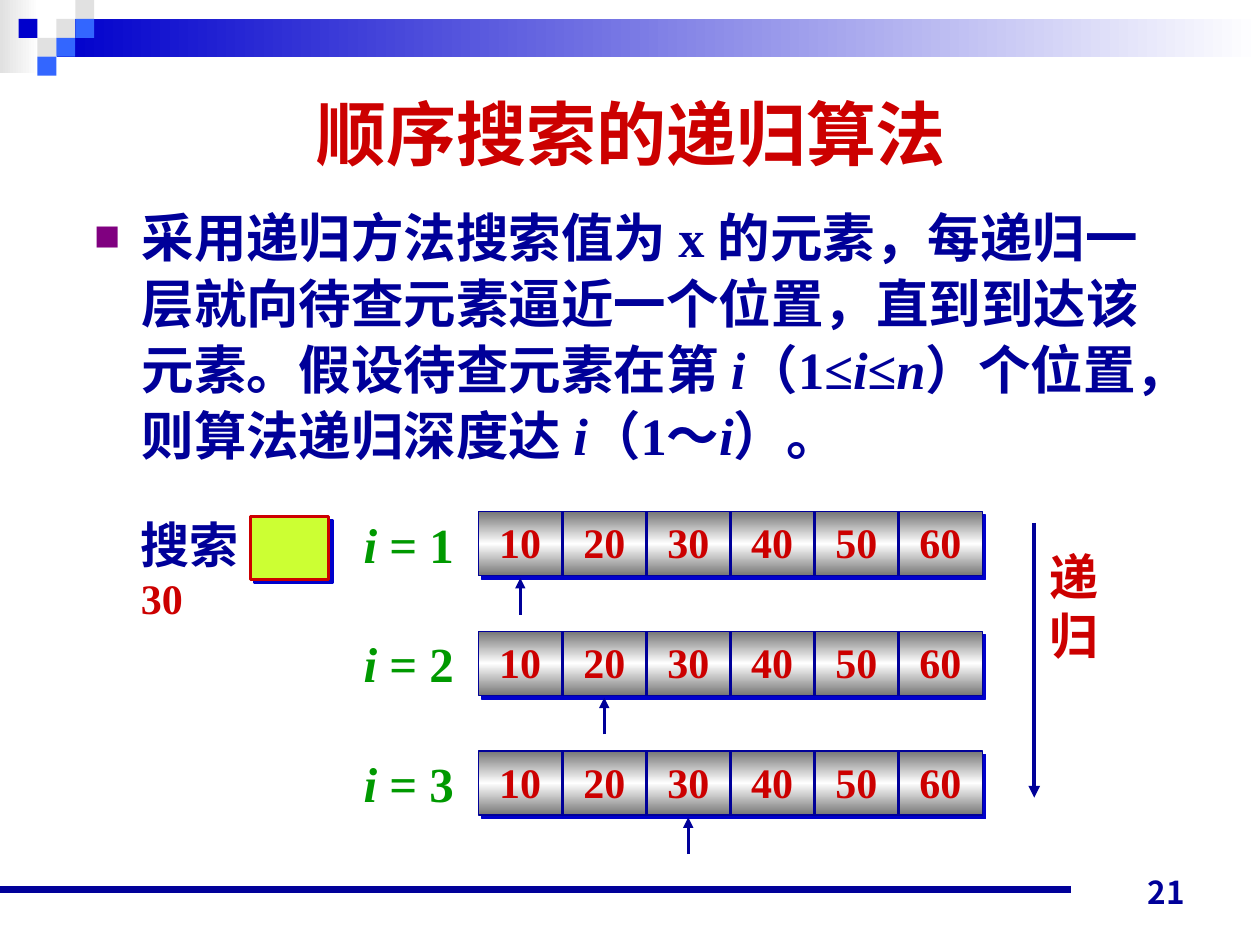
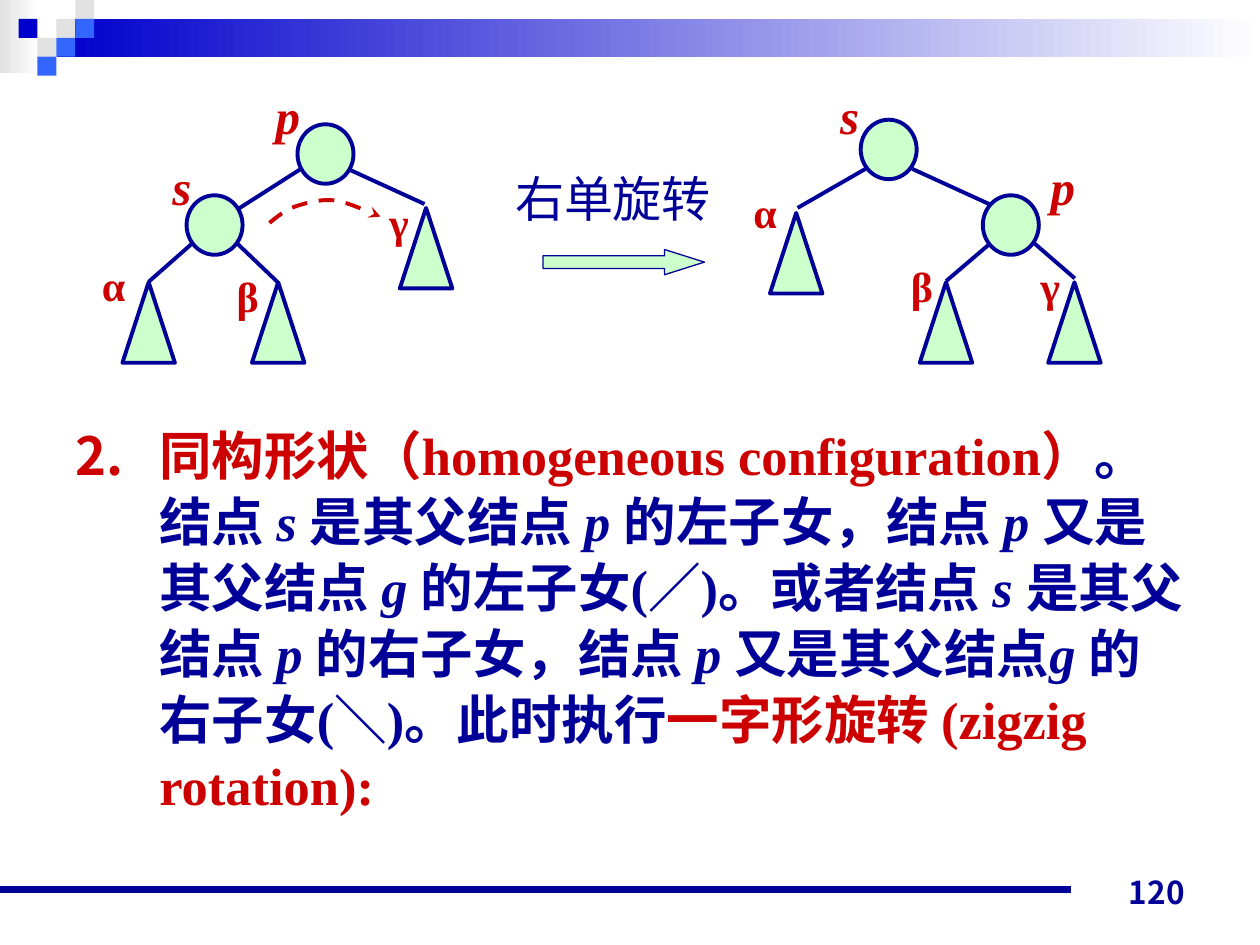
from lxml.etree import SubElement
from pptx import Presentation
from pptx.dml.color import RGBColor
from pptx.enum.dml import MSO_LINE
from pptx.enum.shapes import MSO_CONNECTOR, MSO_SHAPE
from pptx.enum.text import MSO_ANCHOR, PP_ALIGN
from pptx.oxml.ns import qn
from pptx.util import Pt

NAVY = RGBColor(0x00, 0x00, 0x99)
BLUE = RGBColor(0x00, 0x00, 0xCC)
SKY = RGBColor(0x33, 0x66, 0xFF)
RED = RGBColor(0xCC, 0x00, 0x00)
GREEN = RGBColor(0x00, 0x99, 0x00)
MINT = RGBColor(0xCC, 0xFF, 0xCC)
LIME = RGBColor(0xCC, 0xFF, 0x33)
PURPLE = RGBColor(0x80, 0x00, 0x80)
PALE = RGBColor(0xE1, 0xE1, 0xE1)
STEEL = RGBColor(0x76, 0x76, 0x76)
WHITE = RGBColor(0xFF, 0xFF, 0xFF)

SERIF = "Times New Roman"
SANS = "Arial"
CJK = "Noto Sans CJK JP"


def add_xml(parent, tag, **attributes):
    return SubElement(parent, qn(tag), {name: str(value) for name, value in attributes.items()})


def add_colour(parent, colour):
    add_xml(parent, "a:srgbClr", val=colour)


def fill_gradient(shape, colours, angle):
    """Spread the colours evenly along the angle."""
    shape.fill.gradient()
    shape.fill.gradient_angle = angle
    stops = shape._element.spPr.find(".//" + qn("a:gsLst"))
    for stop in list(stops):
        stops.remove(stop)
    for index, colour in enumerate(colours):
        position = 100000 * index // (len(colours) - 1)
        add_colour(add_xml(stops, "a:gs", pos=position), colour)


def add_drop_shadow(shape):
    effects = shape._element.spPr.find(qn("a:effectLst"))
    shadow = add_xml(effects, "a:outerShdw", blurRad=0, dist=Pt(2.8), dir=45 * 60000, algn="ctr", rotWithShape=0)
    add_colour(shadow, BLUE)


def set_bullet(paragraph, indent, colour, kind, size=100, **attributes):
    properties = paragraph._p.get_or_add_pPr()
    properties.set("marL", str(Pt(indent)))
    properties.set("indent", str(-Pt(indent)))
    add_colour(add_xml(properties, "a:buClr"), colour)
    add_xml(properties, "a:buSzPct", val=size * 1000)
    add_xml(properties, "a:buFont", typeface=CJK)
    add_xml(properties, kind, **attributes)


def bezier_points(points, steps=10):
    """Sample a chain of cubic curves that share their end points."""
    for first in range(0, len(points) - 1, 3):
        a, b, c, d = points[first:first + 4]
        for step in range(1, steps + 1):
            t = step / steps
            u = 1 - t
            yield tuple(Pt(u**3 * p + 3 * u * u * t * q + 3 * u * t * t * r + t**3 * s)
                        for p, q, r, s in zip(a, b, c, d))


class Deck:
    """Holds the shared style and the slide being drawn."""

    def __init__(self):
        self.presentation = Presentation()
        self.presentation.slide_width = Pt(720)
        self.presentation.slide_height = Pt(540)
        self.slide = None

    def new_slide(self, number):
        self.slide = self.presentation.slides.add_slide(self.presentation.slide_layouts[6])
        fill_gradient(self.shape(0, 0, 22.3, 41.8), [PALE, WHITE], 0)
        fill_gradient(self.shape(32.4, 10.8, 687.6, 21.6), [BLUE, WHITE], 0)
        side = 10.8
        for column, row, colour in [(2, 1, PALE), (3, 0, PALE), (3, 1, SKY), (1, 2, PALE),
                                    (0, 1, BLUE), (2, 2, SKY), (1, 3, SKY)]:
            self.shape(10.6 + column * side, row * side, side, side, fill=colour)
        self.line(0, 508.3, 612, 508.3, width=4.5)
        self.text(516, 488, 168, 36, [(str(number), NAVY)], 18, font=CJK,
                  align=PP_ALIGN.RIGHT, anchor=MSO_ANCHOR.BOTTOM)

    def shape(self, left, top, width, height, kind=MSO_SHAPE.RECTANGLE,
              fill=WHITE, outline=None, weight=2.25):
        shape = self.slide.shapes.add_shape(kind, Pt(left), Pt(top), Pt(width), Pt(height))
        shape.shadow.inherit = False
        shape.fill.solid()
        shape.fill.fore_color.rgb = fill
        if outline is None:
            shape.line.fill.background()
        else:
            shape.line.color.rgb = outline
            shape.line.width = Pt(weight)
        return shape

    def line(self, x1, y1, x2, y2, width=2.25, arrow=False):
        connector = self.slide.shapes.add_connector(
            MSO_CONNECTOR.STRAIGHT, Pt(x1), Pt(y1), Pt(x2), Pt(y2))
        connector.line.color.rgb = NAVY
        connector.line.width = Pt(width)
        if arrow:
            add_xml(connector.line._get_or_add_ln(), "a:tailEnd", type="triangle")
        add_xml(connector._element.spPr, "a:effectLst")

    def dashed_curve(self, points):
        start_x, start_y = points[0]
        builder = self.slide.shapes.build_freeform(Pt(start_x), Pt(start_y))
        builder.add_line_segments(list(bezier_points(points)), close=False)
        curve = builder.convert_to_shape()
        curve.shadow.inherit = False
        curve.fill.background()
        curve.line.color.rgb = RED
        curve.line.width = Pt(2.25)
        curve.line.dash_style = MSO_LINE.DASH
        add_xml(curve.line._get_or_add_ln(), "a:tailEnd", type="stealth")

    def text(self, left, top, width, height, spans, size, font=SERIF, bold=True,
             align=PP_ALIGN.LEFT, anchor=MSO_ANCHOR.TOP, side_inset=7.2):
        box = self.slide.shapes.add_textbox(Pt(left), Pt(top), Pt(width), Pt(height))
        frame = box.text_frame
        frame.word_wrap = True
        frame.vertical_anchor = anchor
        frame.margin_left = frame.margin_right = Pt(side_inset)
        self.fill_paragraph(frame.paragraphs[0], spans, size, font, bold, align)
        return frame

    def fill_paragraph(self, paragraph, spans, size, font=SERIF, bold=True, align=PP_ALIGN.LEFT):
        """Add (text, colour) spans; underscores enclose italics."""
        paragraph.alignment = align
        paragraph.font.size = Pt(size)
        paragraph.font.bold = bold
        paragraph.font.name = font
        paragraph.font.color.rgb = spans[0][1]
        add_xml(paragraph.font._element, "a:ea", typeface=CJK)
        for content, colour in spans:
            for index, piece in enumerate(content.split("_")):
                if not piece:
                    continue
                run = paragraph.add_run()
                run.text = piece
                if index % 2:
                    run.font.italic = True
                if colour != spans[0][1]:
                    run.font.color.rgb = colour

    def title(self, content):
        self.text(36.7, 34.6, 648, 82, [(content, RED)], 40, font=SANS,
                  align=PP_ALIGN.CENTER, anchor=MSO_ANCHOR.MIDDLE)

    def body(self, left, top, width, height, spans, indent, bullet_colour, kind, **bullet):
        box = self.slide.shapes.add_textbox(Pt(left), Pt(top), Pt(width), Pt(height))
        box.text_frame.word_wrap = True
        paragraph = box.text_frame.paragraphs[0]
        set_bullet(paragraph, indent, bullet_colour, kind, **bullet)
        paragraph.line_spacing = 1.05
        self.fill_paragraph(paragraph, spans, 30)

    def array_row(self, step, values):
        """Draw one search step: the array, its index and the pointer below."""
        left, top = 273.3, 292.3 + (step - 1) * 68.4
        cell, height = 48, 36.7
        bar = self.shape(left, top, cell * len(values), height, outline=NAVY, weight=0.75)
        fill_gradient(bar, [STEEL, WHITE, STEEL], 90)
        add_drop_shadow(bar)
        for index, value in enumerate(values):
            x = left + index * cell
            self.text(x, top - 0.5, cell, height, [(str(value), RED)], 24,
                      align=PP_ALIGN.CENTER, side_inset=0)
            if index:
                self.line(x, top, x, top + height, width=1.5)
        pointer = left + (step - 0.5) * cell
        self.line(pointer, top + 59, pointer, top + 38, width=1.5, arrow=True)
        self.text(left - 72.6, top - 2, 80, 41, [(f"_i_ = {step}", GREEN)], 28)

    def tree(self, edges, nodes, subtrees):
        """Nodes and subtrees are (label, left, top, label left, label top)."""
        for edge in edges:
            self.line(*edge)
        for label, left, top, label_left, label_top in nodes:
            self.shape(left, top, 32, 34, MSO_SHAPE.OVAL, MINT, NAVY)
            self.text(label_left, label_top, 50, 50, [(f"_{label}_", RED)], 28)
        for label, left, top, label_left, label_top in subtrees:
            self.shape(left, top, 30, 46, MSO_SHAPE.ISOSCELES_TRIANGLE, MINT, NAVY)
            self.text(label_left, label_top, 50, 48, [(label, RED)], 24)


def draw_sequential_search(deck):
    deck.new_slide(21)
    deck.title("顺序搜索的递归算法")
    explanation = ("采用递归方法搜索值为 x 的元素，每递归一层就向待查元素逼近一个位置，直到到达该元素。"
                   "假设待查元素在第 _i_（1≤_i_≤_n_）个位置，则算法递归深度达 _i_（1～_i_）。")
    deck.body(46.8, 111.6, 631, 167, [(explanation, NAVY)], 27, PURPLE,
              "a:buChar", size=50, char="■")
    for step in (1, 2, 3):
        deck.array_row(step, range(10, 70, 10))
    add_drop_shadow(deck.shape(143.3, 295.2, 44.6, 36, fill=LIME, outline=RED, weight=1.5))
    target = deck.text(73.4, 290.2, 113, 76, [("搜索", NAVY)], 28)
    deck.fill_paragraph(target.add_paragraph(), [("30", RED)], 24)
    deck.line(591, 298.8, 591, 455.8, arrow=True)
    recursion = deck.text(592.6, 308.9, 44, 74, [("递", RED)], 28)
    deck.fill_paragraph(recursion.add_paragraph(), [("归", RED)], 28)


def draw_rotation(deck):
    deck.new_slide(120)
    deck.tree(
        edges=[(110, 139, 85, 161), (135.4, 139, 158.4, 161),
               (172, 96.5, 136, 119.5), (198.7, 96.5, 242.6, 116.6)],
        nodes=[("p", 170, 71, 150.5, 45.4), ("s", 106.6, 111.6, 91.4, 85.7)],
        subtrees=[("α", 70, 161.3, 51.1, 144.7), ("β", 144, 161.3, 128.2, 151.2),
                  ("γ", 228.5, 118.8, 215.3, 108.7)])
    deck.tree(
        edges=[(566, 139, 540.7, 160.6), (591, 139, 614.2, 159.1),
               (494.6, 96.5, 455.8, 118.8), (521.3, 96.5, 565.2, 116.6)],
        nodes=[("s", 491.8, 68.4, 473, 45.4), ("p", 561.6, 111.6, 593.3, 85.7)],
        subtrees=[("α", 440, 121.7, 423.4, 103), ("β", 525.6, 161.3, 513.4, 145.4),
                  ("γ", 599, 161.3, 587.5, 145.4)])
    deck.dashed_curve([(154, 127.4), (158.4, 123.8), (162.7, 120.2), (168.5, 118.1),
                       (175, 115.9), (182.2, 113.8), (190.8, 114.5),
                       (198.7, 115.2), (213.1, 122.4), (217.4, 123.8)])
    arrow = deck.shape(310.3, 142.6, 92.2, 14.4, MSO_SHAPE.RIGHT_ARROW, MINT, NAVY, 0.75)
    arrow.adjustments[1] = 1.58
    deck.text(287.3, 92.9, 140, 41, [("右单旋转", NAVY)], 28, font=SANS, bold=False)
    rule = ("。结点 _s _是其父结点 _p _的左子女，结点 _p _又是其父结点 _g _的左子女(／)。"
            "或者结点 _s _是其父结点 _p _的右子女，结点 _p _又是其父结点_g _的右子女(＼)。此时执行")
    deck.body(36, 236.2, 648, 281,
              [("同构形状（homogeneous configuration）", RED), (rule, NAVY),
               ("一字形旋转 (zigzig rotation):", RED)],
              48, RED, "a:buAutoNum", type="arabicPeriod", startAt=2)


def main():
    deck = Deck()
    draw_sequential_search(deck)
    draw_rotation(deck)
    deck.presentation.save("out.pptx")


if __name__ == "__main__":
    main()
